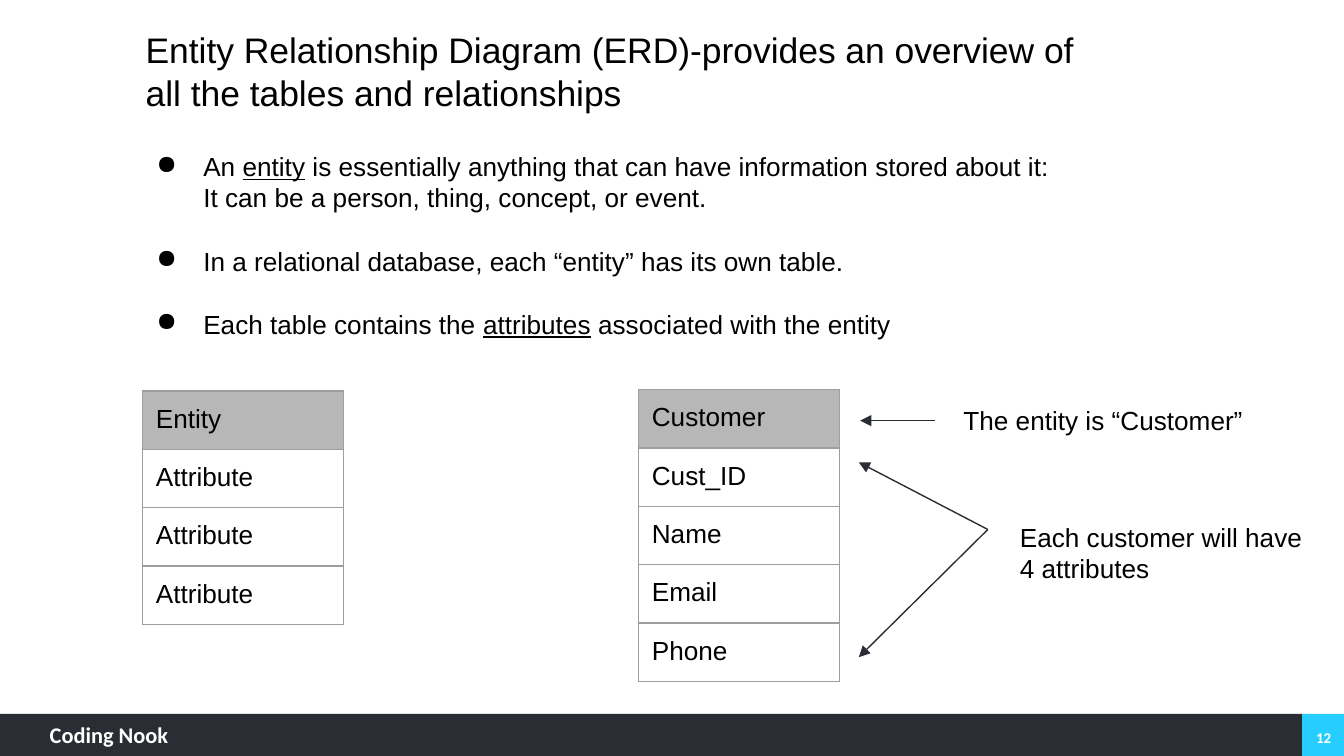
from lxml import etree
from pptx import Presentation
from pptx import util as u
from pptx.dml import color as c
from pptx.enum import shapes, text
from pptx.oxml import ns

HUES = {"ink": "000000", "dark": "2A2D34", "blue": "28CDFF",
        "head": "B7B7B7", "edge": "9E9E9E", "white": "FFFFFF"}
COLS, ROWS = 100, 56.25
UNIT = u.Inches(0.1)
BODY = {"size": u.Pt(14), "name": "Arial"}
TITLE = {"size": u.Pt(19), "name": "Arial"}
BRAND = {"size": u.Pt(12), "name": "Calibri", "bold": True}
PAGE = {"size": u.Pt(8), "name": "Calibri", "bold": True}
TOP, MID = text.MSO_ANCHOR.TOP, text.MSO_ANCHOR.MIDDLE


def grid(*vals):
    return [round(v * UNIT) for v in vals]


def apply(item, form):
    for key, val in form.items():
        setattr(item, key, val)


def tint(hue):
    return c.RGBColor.from_string(HUES[hue])


def node(root, tag, **attrs):
    return etree.SubElement(root, ns.qn("a:" + tag), attrs)


def write(para, words, form, hue="ink"):
    for i, word in enumerate(words.split("_u_")):
        if word:
            run = para.add_run()
            run.text = word
            apply(run.font, form)
            run.font.color.rgb = tint(hue)
            if i % 2:
                run.font.underline = True


def pad(holder, inset=1):
    gap = round(inset * UNIT)
    apply(holder, {"margin_" + side: gap
                   for side in ("left", "right", "top", "bottom")})


def frame(holder, inset=1, anchor=TOP):
    pad(holder, inset)
    apply(holder, {"word_wrap": True, "vertical_anchor": anchor})
    return holder


def label(slide, box, words, form, hue="ink", inset=1, anchor=TOP, align=None):
    area = slide.shapes.add_textbox(*grid(*box))
    para = frame(area.text_frame, inset, anchor).paragraphs[0]
    para.alignment = align
    write(para, words, form, hue)


def head(slide, box, words):
    area = slide.shapes.title
    apply(area, dict(zip(("left", "top", "width", "height"), grid(*box))))
    para = frame(area.text_frame).paragraphs[0]
    para.alignment = text.PP_ALIGN.LEFT
    write(para, words, TITLE)


def points(slide, box, lines):
    area = slide.shapes.add_textbox(*grid(*box))
    body = frame(area.text_frame)
    for i, line in enumerate(lines):
        para = body.add_paragraph() if i else body.paragraphs[0]
        para.space_before = u.Pt(17 if i else 0)
        props = para._p.get_or_add_pPr()
        props.set("marL", str(u.Inches(0.5)))
        props.set("indent", str(u.Inches(-0.35)))
        node(node(props, "buClr"), "srgbClr", val=HUES["ink"])
        node(props, "buSzPts", val="1400")
        node(props, "buChar", char="●")
        write(para, line, BODY)


def border(cell):
    props = cell._tc.get_or_add_tcPr()
    for i, side in enumerate(("lnL", "lnR", "lnT", "lnB")):
        line = etree.Element(ns.qn("a:" + side), w=str(u.Pt(0.75)))
        node(node(line, "solidFill"), "srgbClr", val=HUES["edge"])
        props.insert(i, line)


def entity(slide, box, names):
    x, y, wide, row = box
    area = slide.shapes.add_table(len(names), 1, *grid(x, y, wide, row * len(names)))
    table = area.table
    apply(table, {"first_row": False, "horz_banding": False})
    for i, name in enumerate(names):
        cell = table.cell(i, 0)
        pad(cell)
        if i:
            cell.fill.background()
        else:
            cell.fill.solid()
            cell.fill.fore_color.rgb = tint("head")
        border(cell)
        write(cell.text_frame.paragraphs[0], name, BODY)


def arrow(slide, start, end):
    link = slide.shapes.add_connector(shapes.MSO_CONNECTOR.STRAIGHT,
                                      *grid(*start, *end))
    link.line.color.rgb = tint("dark")
    link.line.width = u.Pt(0.75)
    props = link._element.spPr
    node(props.find(ns.qn("a:ln")), "tailEnd", type="triangle")
    node(props, "effectLst")


def notes(slide, box):
    x, y, wide, high = box
    arrow(slide, (x + 5.8, y + 2.3), (x + 0.2, y + 2.3))
    for end in (y + 5.4, y + high):
        arrow(slide, (x + 9.7, y + 10.4), (x + 0.1, end))
    label(slide, (x + 6.9, y + 0.1, 25, 4.4), "The entity is “Customer”", BODY)
    label(slide, (x + 11.1, y + 8.8, wide - 11.1, 6.7),
          "Each customer will have 4 attributes", BODY)


def band(slide, box, hue):
    bar = slide.shapes.add_shape(shapes.MSO_SHAPE.RECTANGLE, *grid(*box))
    bar.shadow.inherit = False
    bar.fill.solid()
    bar.fill.fore_color.rgb = tint(hue)
    bar.line.fill.background()


def footer(slide, box, brand, page):
    x, y, wide, high = box
    split = x + wide - high
    band(slide, (split, y, high, high), "blue")
    band(slide, (x, y, wide - high, high), "dark")
    label(slide, (x + 3.7, y + 0.5, 15.7, 2.3), brand, BRAND, "white", 0)
    label(slide, (split + 0.1, y + 0.2, high - 0.1, high - 0.1), page, PAGE,
          "white", 0.4, MID, text.PP_ALIGN.CENTER)


def main():
    deck = Presentation()
    deck.slide_width, deck.slide_height = grid(COLS, ROWS)
    slide = deck.slides.add_slide(deck.slide_layouts[5])
    footer(slide, (0, ROWS - 3.12, COLS, 3.12), "Coding Nook", "12")
    head(slide, (9.84, 1.1, 72.3, 8.4),
         "Entity Relationship Diagram (ERD)-provides an overview of "
         "all the tables and relationships")
    points(slide, (9.14, 10.2, 71.2, 18), (
        "An _u_entity_u_ is essentially anything that can have information "
        "stored about it: It can be a person, thing, concept, or event.",
        "In a relational database, each “entity” has its own table.",
        "Each table contains the _u_attributes_u_ associated with the entity"))
    entity(slide, (10.6, 29.1, 14.94, 4.32), ["Entity"] + ["Attribute"] * 3)
    entity(slide, (47.5, 29, 14.94, 4.32),
           ["Customer", "Cust_ID", "Name", "Email", "Phone"])
    notes(slide, (63.8, 29, 34.5, 19.9))
    deck.save("out.pptx")


if __name__ == "__main__":
    main()
